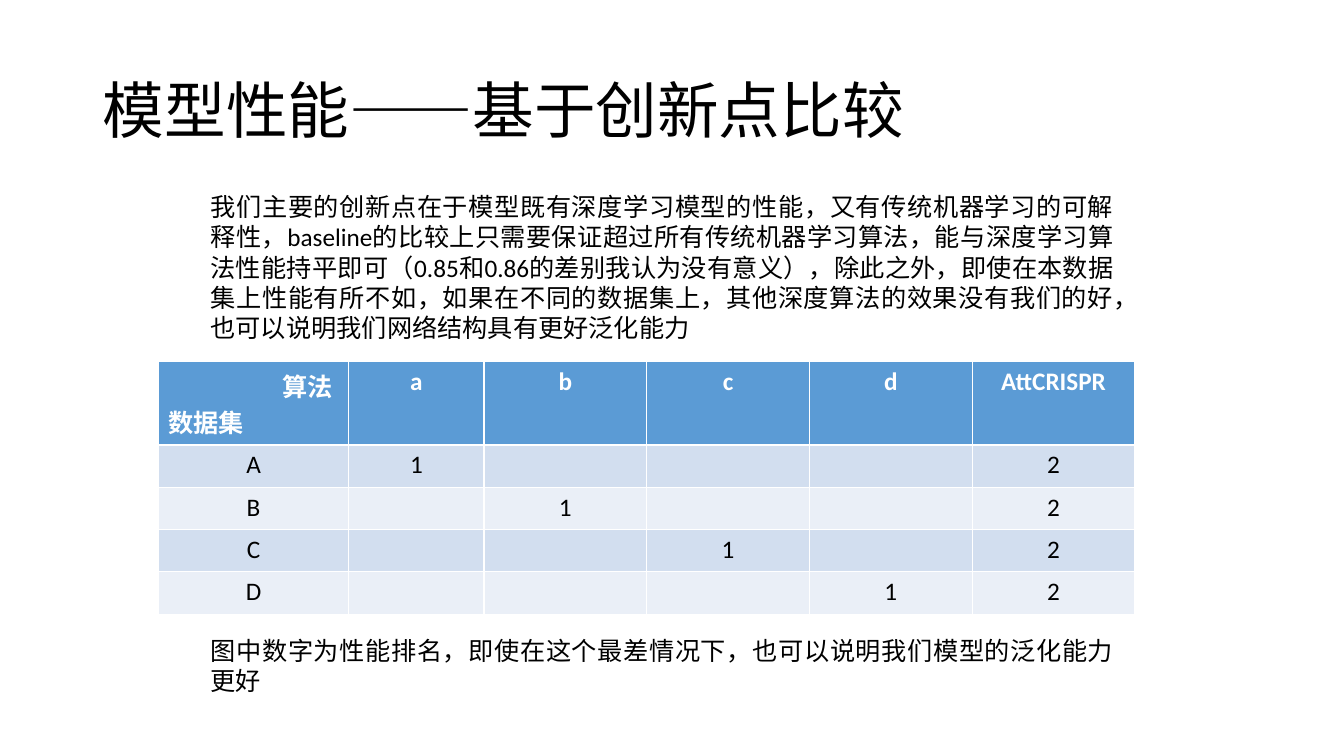
from dataclasses import dataclass
from typing import Any

from pptx import Presentation
from pptx.dml.color import RGBColor
from pptx.enum.text import MSO_ANCHOR, MSO_AUTO_SIZE, PP_ALIGN
from pptx.util import Inches, Pt

LEFT, CENTER, RIGHT, JUSTIFY = PP_ALIGN.LEFT, PP_ALIGN.CENTER, PP_ALIGN.RIGHT, PP_ALIGN.JUSTIFY
MIDDLE = MSO_ANCHOR.MIDDLE
NO_FIT, GROW = MSO_AUTO_SIZE.NONE, MSO_AUTO_SIZE.SHAPE_TO_FIT_TEXT

BLACK = RGBColor(0x00, 0x00, 0x00)
WHITE = RGBColor(0xFF, 0xFF, 0xFF)
HEADER = RGBColor(0x5B, 0x9B, 0xD5)
BANDS = (RGBColor(0xD2, 0xDE, 0xEF), RGBColor(0xEA, 0xEF, 0xF7))

TITLE_FONT = {"name": "Calibri", "size": Pt(44), "bold": False}
BODY_FONT = {"name": "Calibri", "size": Pt(18), "bold": False}
HEADER_FONT = {**BODY_FONT, "bold": True}

prs = Presentation()
prs.slide_width, prs.slide_height = Inches(13.33), Inches(7.5)


def share_x(percent: float) -> int:
    return round(prs.slide_width * percent / 100)


def share_y(percent: float) -> int:
    return round(prs.slide_height * percent / 100)


@dataclass(frozen=True)
class Box:
    x: float
    y: float
    w: float
    h: float

    def emu(self) -> tuple[int, int, int, int]:
        return share_x(self.x), share_y(self.y), share_x(self.w), share_y(self.h)


@dataclass(frozen=True)
class Note:
    box: Box
    text: str


def set_attrs(target: Any, values: dict[str, Any]) -> None:
    for name, value in values.items():
        setattr(target, name, value)


def write(p: Any, text: str, font: dict[str, Any], color: RGBColor, align: Any) -> None:
    p.alignment = align
    r = p.add_run()
    r.text = text
    set_attrs(r.font, font)
    r.font.color.rgb = color


def add_title(s: Any, box: Box, text: str) -> None:
    sp = s.shapes.title
    set_attrs(sp, dict(zip(("left", "top", "width", "height"), box.emu())))
    tf = sp.text_frame
    set_attrs(tf, {"auto_size": NO_FIT, "vertical_anchor": MIDDLE, "word_wrap": True})
    p = tf.paragraphs[0]
    p.line_spacing = 0.9
    write(p, text, TITLE_FONT, BLACK, LEFT)


def add_note(s: Any, note: Note) -> None:
    tf = s.shapes.add_textbox(*note.box.emu()).text_frame
    set_attrs(tf, {"word_wrap": True, "auto_size": GROW})
    write(tf.paragraphs[0], note.text, BODY_FONT, BLACK, JUSTIFY)


def fill_cell(cell: Any, text: str, fill: RGBColor, font: dict[str, Any], color: RGBColor) -> None:
    cell.fill.solid()
    cell.fill.fore_color.rgb = fill
    if text:
        write(cell.text_frame.paragraphs[0], text, font, color, CENTER)


def add_ranking(s: Any, x: float, y: float, cols: list[float], rows: list[float]) -> None:
    box = Box(x, y, sum(cols), sum(rows))
    table = s.shapes.add_table(len(rows), len(cols), *box.emu()).table
    for column, width in zip(table.columns, cols):
        column.width = share_x(width)
    for row, height in zip(table.rows, rows):
        row.height = share_y(height)

    for col, name in enumerate(["", *ALGORITHMS]):
        fill_cell(table.cell(0, col), name, HEADER, HEADER_FONT, WHITE)
    corner = table.cell(0, 0)
    corner.margin_right = Inches(0.16)
    tf = corner.text_frame
    write(tf.paragraphs[0], "算法", HEADER_FONT, WHITE, RIGHT)
    write(tf.add_paragraph(), "数据集", HEADER_FONT, WHITE, LEFT)

    last = len(cols) - 1
    for row, dataset in enumerate(DATASETS, start=1):
        texts = {0: dataset, row: "1", last: "2"}
        for col in range(len(cols)):
            fill_cell(table.cell(row, col), texts.get(col, ""), BANDS[(row - 1) % 2], BODY_FONT, BLACK)


ALGORITHMS = ["a", "b", "c", "d", "AttCRISPR"]
DATASETS = ["A", "B", "C", "D"]
NOTES = [
    Note(
        Box(14.93, 24.67, 68.7, 21.47),
        "我们主要的创新点在于模型既有深度学习模型的性能,又有传统机器学习的可解释性,"
        "baseline的比较上只需要保证超过所有传统机器学习算法,能与深度学习算法性能持平即可"
        "(0.85和0.86的差别我认为没有意义),除此之外,即使在本数据集上性能有所不如,"
        "如果在不同的数据集上,其他深度算法的效果没有我们的好,"
        "也可以说明我们网络结构具有更好泛化能力".replace(",", "\uff0c").replace("(", "\uff08").replace(")", "\uff09"),
    ),
    Note(
        Box(14.93, 83.33, 68.7, 9.47),
        "图中数字为性能排名\uff0c即使在这个最差情况下\uff0c也可以说明我们模型的泛化能力更好",
    ),
]

s = prs.slides.add_slide(prs.slide_layouts[5])
add_title(s, Box(6.9, 5.33, 86.25, 19.33), "模型性能——基于创新点比较")
add_ranking(s, 11.78, 47.87, [14.18, 10.05] + [12.11] * 4, [9.33] + [5.6] * len(DATASETS))
for note in NOTES:
    add_note(s, note)
prs.save("out.pptx")
